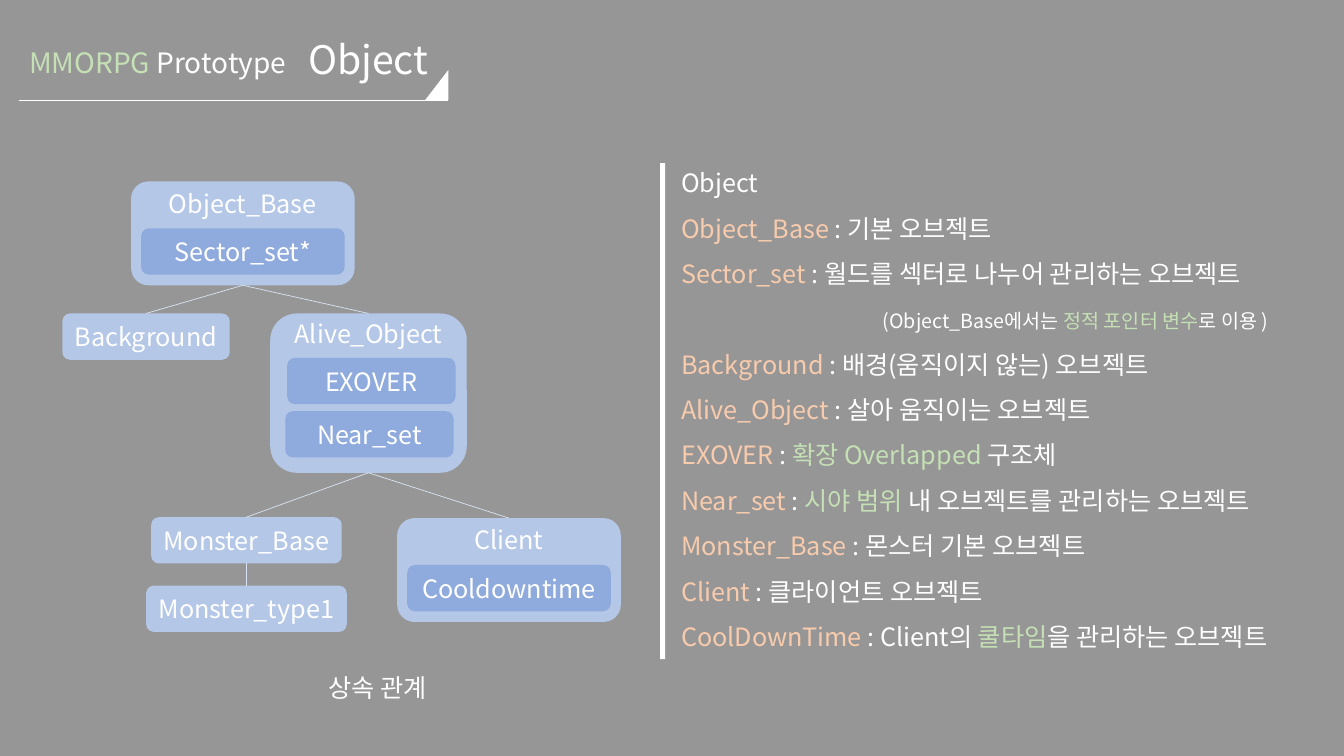
from lxml import etree
from pptx import Presentation
from pptx.dml.color import RGBColor
from pptx.enum.shapes import MSO_CONNECTOR as Connector, MSO_SHAPE as Shape
from pptx.enum.text import MSO_ANCHOR as Anchor, PP_ALIGN as Align
from pptx.oxml.ns import qn
from pptx.util import Pt

FONT = "Noto Sans CJK KR"
GRAY = RGBColor(0x96, 0x96, 0x96)
WHITE = RGBColor(0xFF, 0xFF, 0xFF)
GREEN = RGBColor(0xC5, 0xE0, 0xB4)
PEACH = RGBColor(0xF8, 0xCB, 0xAD)
LIGHT_BLUE = RGBColor(0xB4, 0xC7, 0xE7)
MID_BLUE = RGBColor(0x8F, 0xAA, 0xDC)
PALE_BLUE = RGBColor(0xDA, 0xE3, 0xF3)

ROW_HEIGHT = 33.1
NOTE_INDENT = 144

DESCRIPTIONS = [
    [("Object", WHITE)],
    [("Object_Base ", PEACH), (": 기본 오브젝트", WHITE)],
    [("Sector_set ", PEACH), (": 월드를 섹터로 나누어 관리하는 오브젝트", WHITE)],
    [("\t", WHITE), ("(Object_Base에서는 ", WHITE, 14),
     ("정적 포인터 변수", GREEN, 14), ("로 이용 )", WHITE, 14)],
    [("Background", PEACH), (" : 배경(움직이지 않는) 오브젝트", WHITE)],
    [("Alive_Object ", PEACH), (": 살아 움직이는 오브젝트", WHITE)],
    [("EXOVER", PEACH), (" : ", WHITE), ("확장 Overlapped ", GREEN), ("구조체", WHITE)],
    [("Near_set ", PEACH), (": ", WHITE), ("시야 범위", GREEN),
     (" 내 오브젝트를 관리하는 오브젝트", WHITE)],
    [("Monster_Base", PEACH), (" : 몬스터 기본 오브젝트", WHITE)],
    [("Client ", PEACH), (": 클라이언트 오브젝트", WHITE)],
    [("CoolDownTime ", PEACH), (": Client의 ", WHITE), ("쿨타임", GREEN),
     ("을 관리하는 오브젝트", WHITE)],
]

NODES = {
    "Object_Base": (49, 0, 159.8, 74.2),
    "Background": (0, 94.3, 119.5, ROW_HEIGHT),
    "Alive_Object": (148.4, 94.3, 140.4, 113.8),
    "Monster_Base": (63.4, 239.8, 136.1, ROW_HEIGHT),
    "Monster_type1": (59.8, 288.7, 143.3, ROW_HEIGHT),
    "Client": (239.1, 240.5, 159.8, 74.2),
}
MEMBERS = [
    ("Object_Base", "Sector_set*", 7.2, 33.5, 145.4),
    ("Alive_Object", "EXOVER", 12.2, 31.7, 120.2),
    ("Alive_Object", "Near_set", 10.8, 69.8, 120.2),
    ("Client", "Cooldowntime", 7.2, 33.5, 145.4),
]
HEADER_INSETS = {"Object_Base": 1, "Alive_Object": -2.4, "Client": 1}
INHERITANCE = [
    ("Object_Base", "Alive_Object"),
    ("Object_Base", "Background"),
    ("Alive_Object", "Client"),
    ("Alive_Object", "Monster_Base"),
    ("Monster_Base", "Monster_type1"),
]


def write_text(shape, paragraphs, size=18, align=Align.LEFT, anchor=Anchor.MIDDLE,
               spacing=None, tab=None):
    """Fill a shape with paragraphs made of (text, colour[, size]) runs."""
    frame = shape.text_frame
    frame.word_wrap = True
    frame.vertical_anchor = anchor
    for index, runs in enumerate(paragraphs):
        paragraph = frame.add_paragraph() if index else frame.paragraphs[0]
        paragraph.alignment = align
        if spacing:
            paragraph.line_spacing = spacing
        if tab and runs[0][0] == "\t":
            tabs = etree.SubElement(paragraph._p.get_or_add_pPr(), qn("a:tabLst"))
            etree.SubElement(tabs, qn("a:tab"), pos=str(Pt(tab)), algn="l")
        for text, color, *own_size in runs:
            run = paragraph.add_run()
            run.text = text
            run.font.name = FONT
            run.font.size = Pt(own_size[0] if own_size else size)
            run.font.color.rgb = color
            etree.SubElement(run._r.get_or_add_rPr(), qn("a:ea"), typeface=FONT)
    return frame


def add_text(slide, box, paragraphs, **text_format):
    """Add a text box."""
    shape = slide.shapes.add_textbox(*map(Pt, box))
    write_text(shape, paragraphs, **text_format)


def add_block(slide, kind, box, color):
    """Add a plain filled shape without outline or shadow."""
    shape = slide.shapes.add_shape(kind, *map(Pt, box))
    shape.shadow.inherit = False
    shape.fill.solid()
    shape.fill.fore_color.rgb = color
    shape.line.fill.background()
    return shape


def add_node(slide, box, label, color, header_inset=None):
    """Add a rounded node, its label centred or held at the top."""
    shape = add_block(slide, Shape.ROUNDED_RECTANGLE, box, color)
    anchor = Anchor.MIDDLE if header_inset is None else Anchor.TOP
    frame = write_text(shape, [[(label, WHITE)]], align=Align.CENTER, anchor=anchor)
    frame.margin_left = frame.margin_right = 0
    if header_inset is not None:
        frame.margin_top = Pt(header_inset)


def add_line(slide, start, end, color):
    """Add a thin straight connector."""
    line = slide.shapes.add_connector(Connector.STRAIGHT, *map(Pt, (*start, *end)))
    line.line.color.rgb = color
    line.line.width = Pt(0.5)
    etree.SubElement(line._element.spPr, qn("a:effectLst"))


def add_heading(slide, left, top, width, height):
    """Place the project name, the title and the underline with its corner."""
    bottom = top + height
    right = left + width
    add_text(slide, (left, top + 16.6, 199.4, 31.7),
             [[("MMORPG ", GREEN), ("Prototype", WHITE)]], size=20, anchor=Anchor.TOP)
    add_text(slide, (left + 199.4, top, 179.3, 64.1),
             [[("Object", WHITE)]], size=28, spacing=0.9)
    add_line(slide, (left, bottom), (right, bottom), WHITE)
    corner_base, corner_height = 16.6, 21.6
    center_x, center_y = right - corner_base / 2, bottom - corner_height / 2
    corner = add_block(slide, Shape.RIGHT_TRIANGLE,
                       (center_x - corner_height / 2, center_y - corner_base / 2,
                        corner_height, corner_base), WHITE)
    corner.rotation = 270


def add_tree(slide, left, top):
    """Place the inheritance tree with its members, links and caption."""
    boxes = {name: (left + x, top + y, width, height)
             for name, (x, y, width, height) in NODES.items()}
    for name, box in boxes.items():
        add_node(slide, box, name, LIGHT_BLUE, HEADER_INSETS.get(name))
    for owner, label, x, y, width in MEMBERS:
        owner_left, owner_top = boxes[owner][:2]
        add_node(slide, (owner_left + x, owner_top + y, width, ROW_HEIGHT), label, MID_BLUE)
    for parent, child in INHERITANCE:
        x, y, width, height = boxes[parent]
        child_x, child_y, child_width, _ = boxes[child]
        add_line(slide, (x + width / 2, y + height),
                 (child_x + child_width / 2, child_y), PALE_BLUE)
    add_text(slide, (left + 167.8, top + 340.6, 115.2, 41),
             [[("상속 관계", WHITE)]], align=Align.CENTER)


def add_descriptions(slide, left, top, width, height):
    """Place the vertical bar and the list of object descriptions."""
    add_block(slide, Shape.RECTANGLE, (left, top, 3.6, height), WHITE)
    add_text(slide, (left + 7.9, top - 6.6, width - 7.9, height),
             DESCRIPTIONS, spacing=1.5, tab=NOTE_INDENT)


def main():
    """Build the slide and save it."""
    presentation = Presentation()
    presentation.slide_width, presentation.slide_height = Pt(960), Pt(540)
    slide = presentation.slides.add_slide(presentation.slide_layouts[6])
    slide.background.fill.solid()
    slide.background.fill.fore_color.rgb = GRAY
    add_heading(slide, 13.7, 12.2, 306.6, 59.3)
    add_tree(slide, 44.6, 129.6)
    add_descriptions(slide, 471.6, 116.6, 474.5, 354.2)
    presentation.save("out.pptx")


if __name__ == "__main__":
    main()
